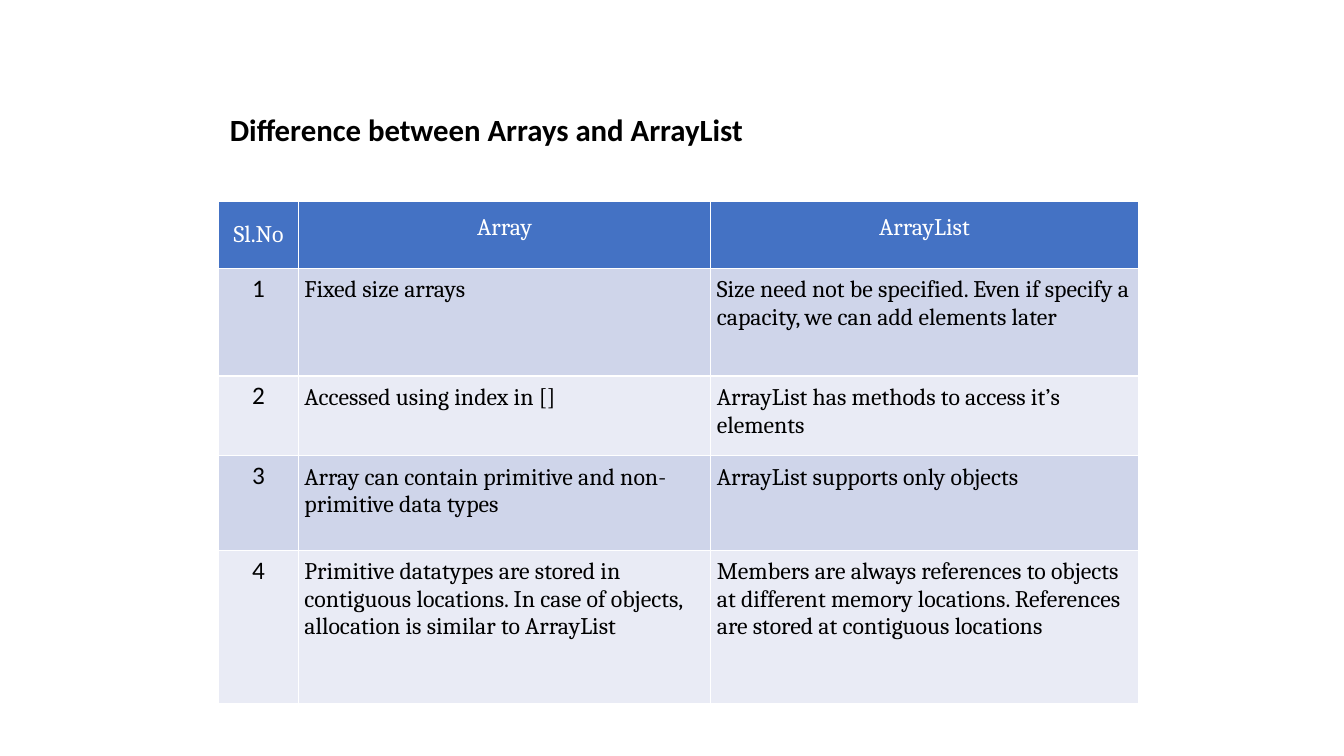
import pptx
import pptx.util
import pptx.dml.color
import pptx.enum.text
import pptx.oxml.ns
import lxml.etree

Inches = pptx.util.Inches
Pt = pptx.util.Pt
RGBColor = pptx.dml.color.RGBColor
ALIGN = pptx.enum.text.PP_ALIGN
ANCHOR = pptx.enum.text.MSO_ANCHOR

BLACK = RGBColor(0x00, 0x00, 0x00)
WHITE = RGBColor(0xFF, 0xFF, 0xFF)
BLUE = RGBColor(0x44, 0x72, 0xC4)
BANDS = [RGBColor(0xE9, 0xEB, 0xF5), RGBColor(0xCF, 0xD5, 0xEA)]

COLS = [0.79, 4.09, 4.24]
ROWS = [0.66, 1.07, 0.79, 0.94, 1.52]
TEXTS = [
    ["Sl.No", "Array", "ArrayList"],
    ["1", "Fixed size arrays",
     "Size need not be specified. Even if specify a capacity, "
     "we can add elements later"],
    ["2", "Accessed using index in []",
     "ArrayList has methods to access it’s elements"],
    ["3", "Array can contain primitive and non-primitive data types",
     "ArrayList supports only objects"],
    ["4", "Primitive datatypes are stored in contiguous locations. "
     "In case of objects, allocation is similar to ArrayList",
     "Members are always references to objects at different memory "
     "locations. References are stored at contiguous locations"],
]


def style(para, font, size, color, align, bold=False):
    para.alignment = align
    for run in para.runs:
        run.font.name = font
        run.font.size = Pt(size)
        run.font.bold = bold
        run.font.color.rgb = color


def edge(cell, color, width):
    # Borders come before the fill in the cell properties
    props = cell._tc.get_or_add_tcPr()
    qn = pptx.oxml.ns.qn
    for spot, side in enumerate(["a:lnL", "a:lnR", "a:lnT", "a:lnB"]):
        line = lxml.etree.Element(qn(side), w=str(Pt(width)))
        fill = lxml.etree.SubElement(line, qn("a:solidFill"))
        lxml.etree.SubElement(fill, qn("a:srgbClr"), val=str(color))
        props.insert(spot, line)


def pad(cell, side, end):
    cell.margin_left = cell.margin_right = Inches(side)
    cell.margin_top = cell.margin_bottom = Inches(end)


def add_title(slide, left, top, width, height):
    title = slide.shapes.title
    title.left, title.top = Inches(left), Inches(top)
    title.width, title.height = Inches(width), Inches(height)
    frame = title.text_frame
    frame.text = "Difference between Arrays and ArrayList"
    frame.word_wrap = True
    frame.vertical_anchor = ANCHOR.MIDDLE
    para = frame.paragraphs[0]
    para.line_spacing = 0.9
    style(para, "Calibri", 22, BLACK, ALIGN.LEFT, bold=True)


def fill_cell(cell, text, row, col):
    head, index = row == 0, col == 0
    cell.text_frame.text = text
    cell.fill.solid()
    cell.fill.fore_color.rgb = BLUE if head else BANDS[row % 2]
    cell.vertical_anchor = ANCHOR.MIDDLE if head and index else ANCHOR.TOP
    if index:
        pad(cell, 0.07, 0.05)
    elif head:
        pad(cell, 0.09, 0.12)
    else:
        pad(cell, 0.06, 0.08)
    number = index and not head
    style(cell.text_frame.paragraphs[0],
          "Calibri" if number else "Cambria",
          18 if number else 17,
          WHITE if head else BLACK,
          ALIGN.CENTER if head or index else ALIGN.LEFT)
    edge(cell, WHITE, 1)


def add_grid(slide, left, top):
    table = slide.shapes.add_table(
        len(ROWS), len(COLS), Inches(left), Inches(top),
        Inches(sum(COLS)), Inches(sum(ROWS))).table
    for col, width in zip(table.columns, COLS):
        col.width = Inches(width)
    for row, height in zip(table.rows, ROWS):
        row.height = Inches(height)
    for r, line in enumerate(TEXTS):
        for c, text in enumerate(line):
            fill_cell(table.cell(r, c), text, r, c)


def main():
    deck = pptx.Presentation()
    deck.slide_width, deck.slide_height = Inches(13.33), Inches(7.5)
    # Title Only layout
    slide = deck.slides.add_slide(deck.slide_layouts[5])
    add_title(slide, 2.18, 0.99, 6.75, 0.63)
    add_grid(slide, 2.17, 2)
    deck.save("out.pptx")


if __name__ == "__main__":
    main()
